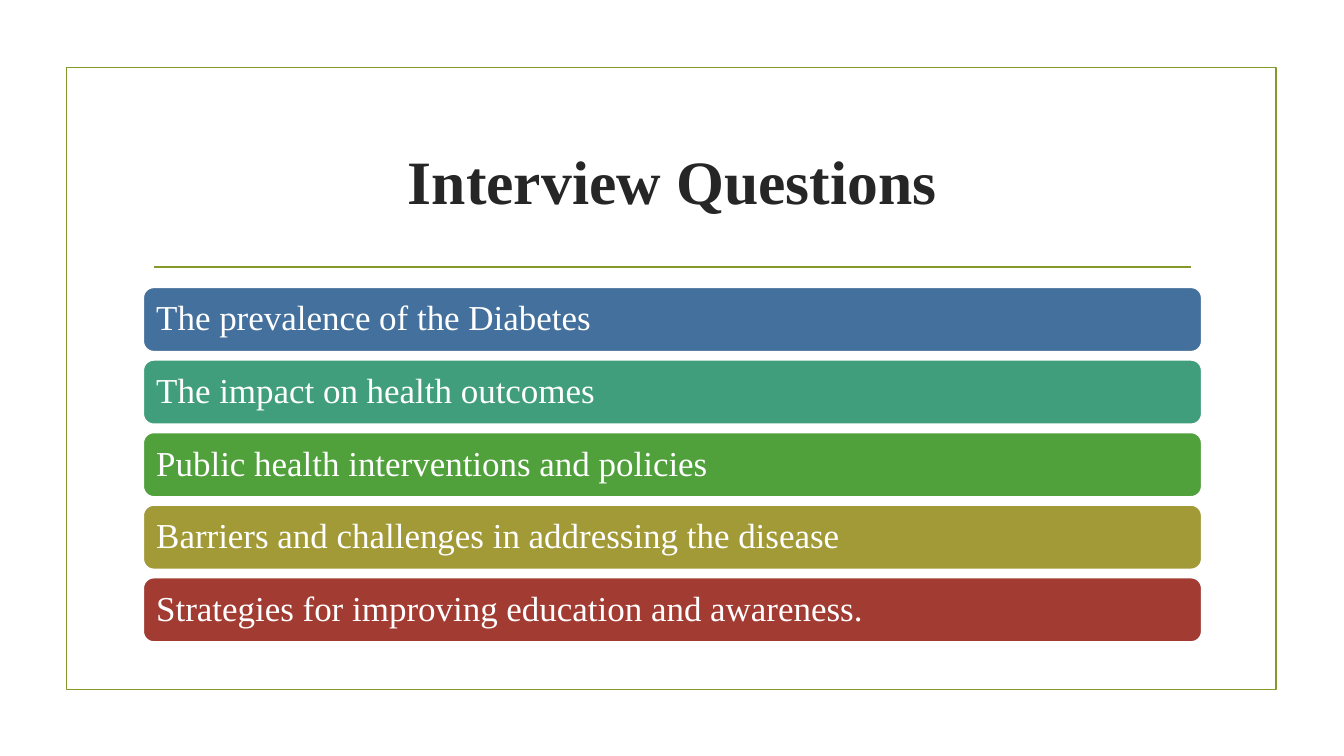
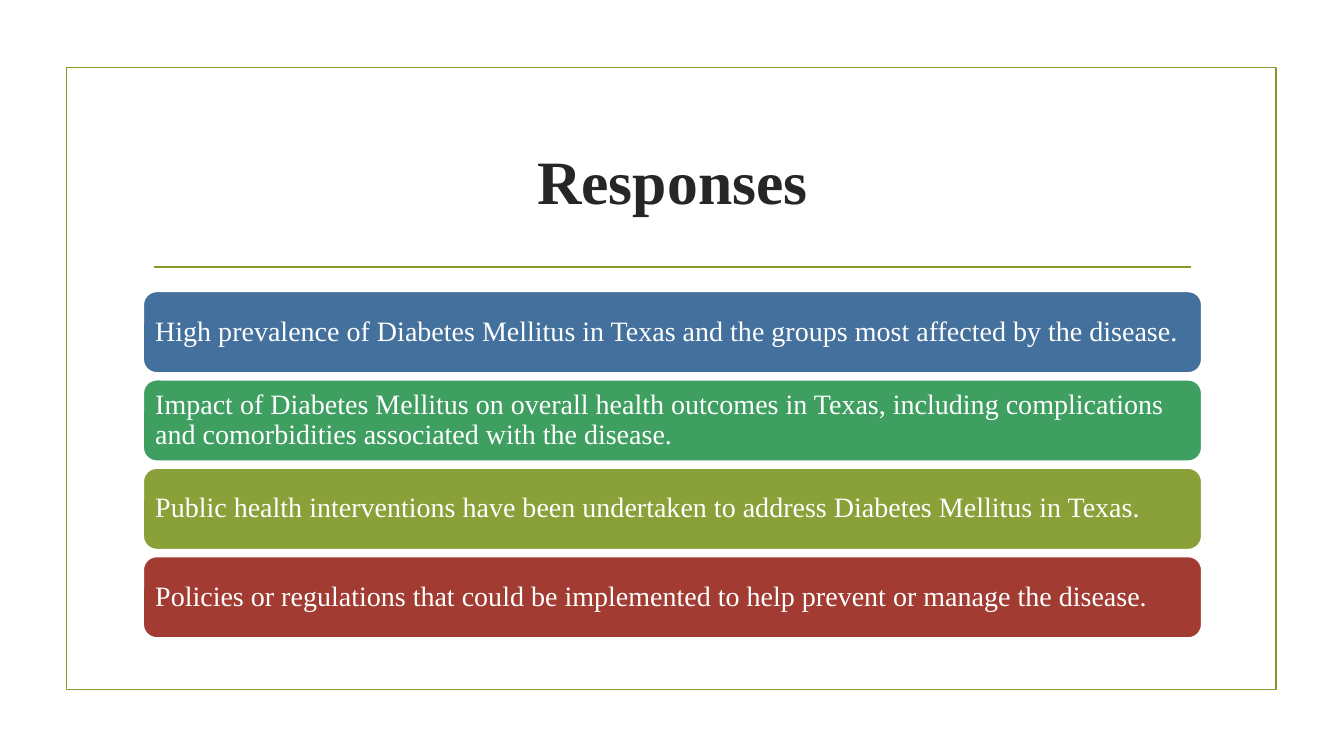
from pptx import Presentation
from pptx.dml.color import RGBColor
from pptx.enum.shapes import MSO_CONNECTOR, MSO_SHAPE
from pptx.enum.text import MSO_ANCHOR, MSO_AUTO_SIZE, PP_ALIGN
from pptx.oxml.ns import qn
from pptx.util import Inches, Pt
from lxml.etree import SubElement

FONT = "Times New Roman"
OLIVE, INK, WHITE = "83992A", "262626", "FFFFFF"
LEFT, WIDTH = 1.42, 10.5

SLIDES = [
    {
        "title": "Interview Questions",
        "first_top": 2.85, "last_top": 5.73, "height": 0.64,
        "size": 25, "inset": 0.1,
        "bars": [
            ("The prevalence of the Diabetes", "44709D"),
            ("The impact on health outcomes", "409E7D"),
            ("Public health interventions and policies", "50A03B"),
            ("Barriers and challenges in addressing the disease", "A19A37"),
            ("Strategies for improving education and awareness.", "A23C33"),
        ],
    },
    {
        "title": "Responses",
        "first_top": 2.89, "last_top": 5.52, "height": 0.81,
        "size": 20, "inset": 0.08,
        "bars": [
            ("High prevalence of Diabetes Mellitus in Texas and the groups "
             "most affected by the disease.", "44709D"),
            ("Impact of Diabetes Mellitus on overall health outcomes in Texas, "
             "including complications and comorbidities associated with the disease.", "3E9F61"),
            ("Public health interventions have been undertaken to address "
             "Diabetes Mellitus in Texas.", "89A138"),
            ("Policies or regulations that could be implemented to help "
             "prevent or manage the disease.", "A23C33"),
        ],
    },
]


def color(value):
    return RGBColor.from_string(value)


def set_line(shape, value):
    shape.line.color.rgb = color(value)
    shape.line.width = Pt(1.25)


def write(frame, text, size, value, align, bold=False):
    frame.word_wrap = True
    frame.auto_size = MSO_AUTO_SIZE.NONE
    frame.vertical_anchor = MSO_ANCHOR.MIDDLE
    para = frame.paragraphs[0]
    para.text = text
    para.alignment = align
    para.font.name = FONT
    para.font.size = Pt(size)
    para.font.bold = bold
    para.font.color.rgb = color(value)
    return para


def add_box(page, kind, left, top, width, height, line, fill=None):
    box = page.shapes.add_shape(
        kind, Inches(left), Inches(top), Inches(width), Inches(height))
    box.shadow.inherit = False
    set_line(box, line)
    if fill:
        box.fill.solid()
        box.fill.fore_color.rgb = color(fill)
    else:
        box.fill.background()
    return box


def add_base(deck, text):
    page = deck.slides.add_slide(deck.slide_layouts[5])
    add_box(page, MSO_SHAPE.RECTANGLE, 0.66, 0.67, 12, 6.17, OLIVE)
    rule = page.shapes.add_connector(
        MSO_CONNECTOR.STRAIGHT, Inches(1.53), Inches(2.65), Inches(11.81), Inches(2.65))
    set_line(rule, OLIVE)
    SubElement(rule._element.spPr, qn("a:effectLst"))
    title = page.shapes.title
    title.left, title.top = Inches(LEFT), Inches(1.07)
    title.width, title.height = Inches(WIDTH), Inches(1.43)
    write(title.text_frame, text, 44, INK, PP_ALIGN.CENTER, bold=True)
    return page


def add_bars(page, content):
    bars = content["bars"]
    first = content["first_top"]
    pitch = (content["last_top"] - first) / (len(bars) - 1)
    inset = Inches(content["inset"])
    for index, (text, fill) in enumerate(bars):
        bar = add_box(page, MSO_SHAPE.ROUNDED_RECTANGLE, LEFT, first + index * pitch,
                      WIDTH, content["height"], WHITE, fill)
        frame = bar.text_frame
        frame.margin_left = frame.margin_right = inset
        frame.margin_top = frame.margin_bottom = inset
        para = write(frame, text, content["size"], WHITE, PP_ALIGN.LEFT)
        para.line_spacing = 0.9


def main():
    deck = Presentation()
    deck.slide_width, deck.slide_height = Inches(13.33), Inches(7.5)
    for content in SLIDES:
        page = add_base(deck, content["title"])
        add_bars(page, content)
    deck.save("out.pptx")


if __name__ == "__main__":
    main()
